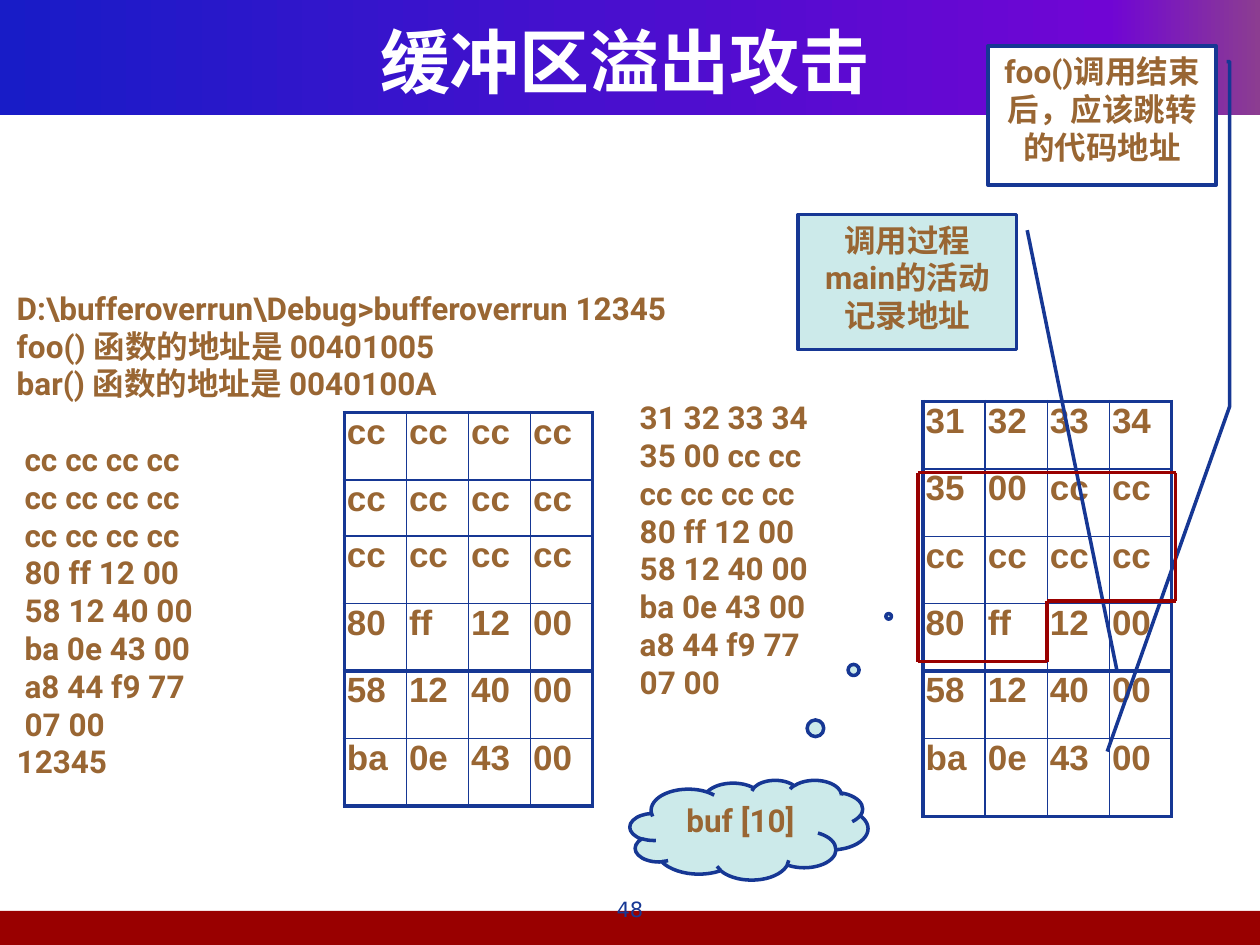
from copy import deepcopy
from itertools import pairwise
from lxml.etree import SubElement
from pptx import Presentation
from pptx.dml.color import RGBColor
from pptx.enum.shapes import MSO_CONNECTOR, MSO_SHAPE
from pptx.enum.text import MSO_ANCHOR, PP_ALIGN
from pptx.oxml.ns import qn
from pptx.util import Pt

HUES = {
    "navy": "163794", "brown": "996633", "red": "990000", "teal": "009999",
    "white": "FFFFFF", "blue": "181CC7", "violet": "7005D4", "plum": "8C3D91",
}
HAN = "Noto Sans CJK SC"
BODY = {"name": "Roboto", "size": Pt(18), "bold": True}
CELL = {"name": "Arial", "size": Pt(20), "bold": True}
HEAD = {"name": HAN, "size": Pt(40), "bold": True}
FOOT = {"name": "DejaVu Sans", "size": Pt(12), "bold": False}
ZERO = {"margin_top": 0, "margin_bottom": 0, "margin_left": Pt(1.5), "margin_right": Pt(1.5)}


def tint(name):
    return RGBColor.from_string(HUES[name])


def write(frame, lines, style, hue, align=PP_ALIGN.LEFT):
    frame.word_wrap = True
    for num, line in enumerate(lines):
        para = frame.paragraphs[0] if num == 0 else frame.add_paragraph()
        para.alignment = align
        run = para.add_run()
        run.text = line
        for key, val in style.items():
            setattr(run.font, key, val)
        run.font.color.rgb = tint(hue)
        SubElement(run.font._element, qn("a:ea"), typeface=HAN)


deck = Presentation()
deck.slide_width, deck.slide_height = Pt(720), Pt(540)
slide = deck.slides.add_slide(deck.slide_layouts[6])
shapes = slide.shapes

band = shapes.add_shape(MSO_SHAPE.RECTANGLE, 0, 0, Pt(720), Pt(65.5))
band.fill.gradient()
band.fill.gradient_angle = 0
stops = band._element.spPr.find(qn("a:gradFill")).find(qn("a:gsLst"))
stops.append(deepcopy(stops[-1]))
for stop, (hue, pos) in zip(band.fill.gradient_stops, [("blue", 0), ("violet", 0.88), ("plum", 1)]):
    stop.color.rgb = tint(hue)
    stop.position = pos

base = shapes.add_shape(MSO_SHAPE.RECTANGLE, Pt(-3), Pt(520.5), Pt(723), Pt(19.5))
base.fill.solid()
base.fill.fore_color.rgb = tint("red")
for bar in (band, base):
    bar.shadow.inherit = False
    bar.line.fill.background()

title = shapes.add_textbox(Pt(24), Pt(12), Pt(666), Pt(45)).text_frame
title.vertical_anchor = MSO_ANCHOR.MIDDLE
write(title, ["缓冲区溢出攻击"], HEAD, "white", PP_ALIGN.CENTER)

tail = ["80 ff 12 00", "58 12 40 00", "ba 0e 43 00"]
grids = [
    (196.75, 235.75, [38.5, 32, 38.75, 38.5, 38.5, 38.5], ["cc cc cc cc"] * 3 + tail),
    (527.5, 229.5, [38.5, 38.5, 38.5, 38.5, 38.5, 44.75],
     ["31 32 33 34", "35 00 cc cc", "cc cc cc cc"] + tail),
]
for left, top, highs, rows in grids:
    table = shapes.add_table(6, 4, Pt(left), Pt(top), Pt(142), Pt(sum(highs))).table
    table.first_row = table.horz_banding = False
    for col in table.columns:
        col.width = Pt(35.5)
    for r, (high, row) in enumerate(zip(highs, rows)):
        table.rows[r].height = Pt(high)
        for c, word in enumerate(row.split()):
            cell = table.cell(r, c)
            for key, val in ZERO.items():
                setattr(cell, key, val)
            write(cell.text_frame, [word], CELL, "brown")
            cell.fill.background()
            edges = {"lnL": c == 0, "lnR": c == 3, "lnT": r in (0, 4), "lnB": r in (3, 5)}
            props = cell._tc.get_or_add_tcPr()
            for spot, (tag, thick) in enumerate(edges.items()):
                edge = SubElement(props, qn("a:" + tag), w=str(Pt(2.25 if thick else 1)))
                fill = SubElement(edge, qn("a:solidFill"))
                SubElement(fill, qn("a:srgbClr"), val=HUES["navy"])
                props.insert(spot, edge)

page = shapes.add_textbox(Pt(276), Pt(509), Pt(168), Pt(25)).text_frame
write(page, ["48"], FOOT, "navy", PP_ALIGN.CENTER)

dump = tail + ["a8 44 f9 77", "07 00"]
intro = [
    "D:\\bufferoverrun\\Debug>bufferoverrun 12345",
    "foo() 函数的地址是 00401005",
    "bar() 函数的地址是 0040100A",
]
before = [" " + line for line in ["cc cc cc cc"] * 3 + dump]
after = [" " + line for line in ["31 32 33 34", "35 00 cc cc", "cc cc cc cc"] + dump]
left = shapes.add_textbox(Pt(2.5), Pt(161.5), Pt(454), Pt(310)).text_frame
write(left, intro + before + ["12345"], BODY, "brown")
left.paragraphs[len(intro)].space_before = Pt(21.6)
right = shapes.add_textbox(Pt(354), Pt(224), Pt(281), Pt(213)).text_frame
write(right, after, BODY, "brown")

notes = [
    (MSO_SHAPE.LINE_CALLOUT_1, (456, 122.5, 125, 77.25), (0.117, 1.048, 3.381, 1.459),
     "teal", "调用过程main的活动记录地址"),
    (MSO_SHAPE.LINE_CALLOUT_3, (564.5, 26.25, 130.5, 79.5),
     (0.113, 1.046, 0.113, 1.059, 2.591, 1.059, 5.071, 0.523),
     "white", "foo()调用结束后，应该跳转的代码地址"),
    (MSO_SHAPE.CLOUD_CALLOUT, (360, 445.75, 136, 57), (0.587, -2.141), "teal", "buf [10]"),
]
for kind, box, bends, hue, words in notes:
    note = shapes.add_shape(kind, *map(Pt, box))
    note.shadow.inherit = False
    for num, bend in enumerate(bends):
        note.adjustments[num] = bend
    note.fill.solid()
    note.fill.fore_color.rgb = tint(hue)
    if hue == "teal":
        ink = note._element.spPr.find(qn("a:solidFill"))[0]
        SubElement(ink, qn("a:alpha"), val="20000")
    note.line.color.rgb = tint("navy")
    note.line.width = Pt(2)
    note.text_frame.vertical_anchor = MSO_ANCHOR.TOP
    write(note.text_frame, [words], BODY, "brown", PP_ALIGN.CENTER)

frame = shapes.add_group_shape()
turns = [(524.5, 270), (671.75, 270), (671.75, 343.5), (598.25, 343.5),
         (598.25, 378), (524.5, 378), (524.5, 270)]
for start, end in pairwise(turns):
    side = frame.shapes.add_connector(MSO_CONNECTOR.STRAIGHT, *map(Pt, start + end))
    side.line.color.rgb = tint("red")
    side.line.width = Pt(2)
    SubElement(side._element.spPr, qn("a:effectLst"))

deck.save("out.pptx")
